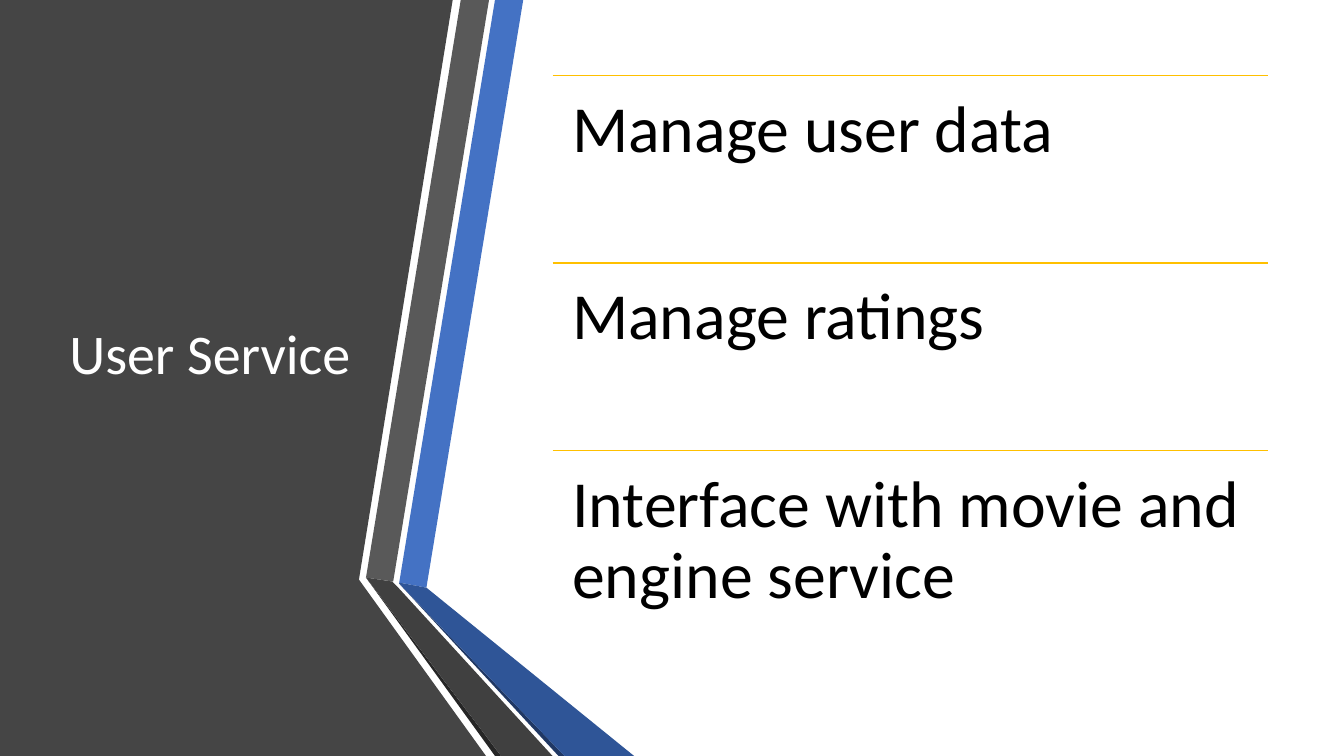
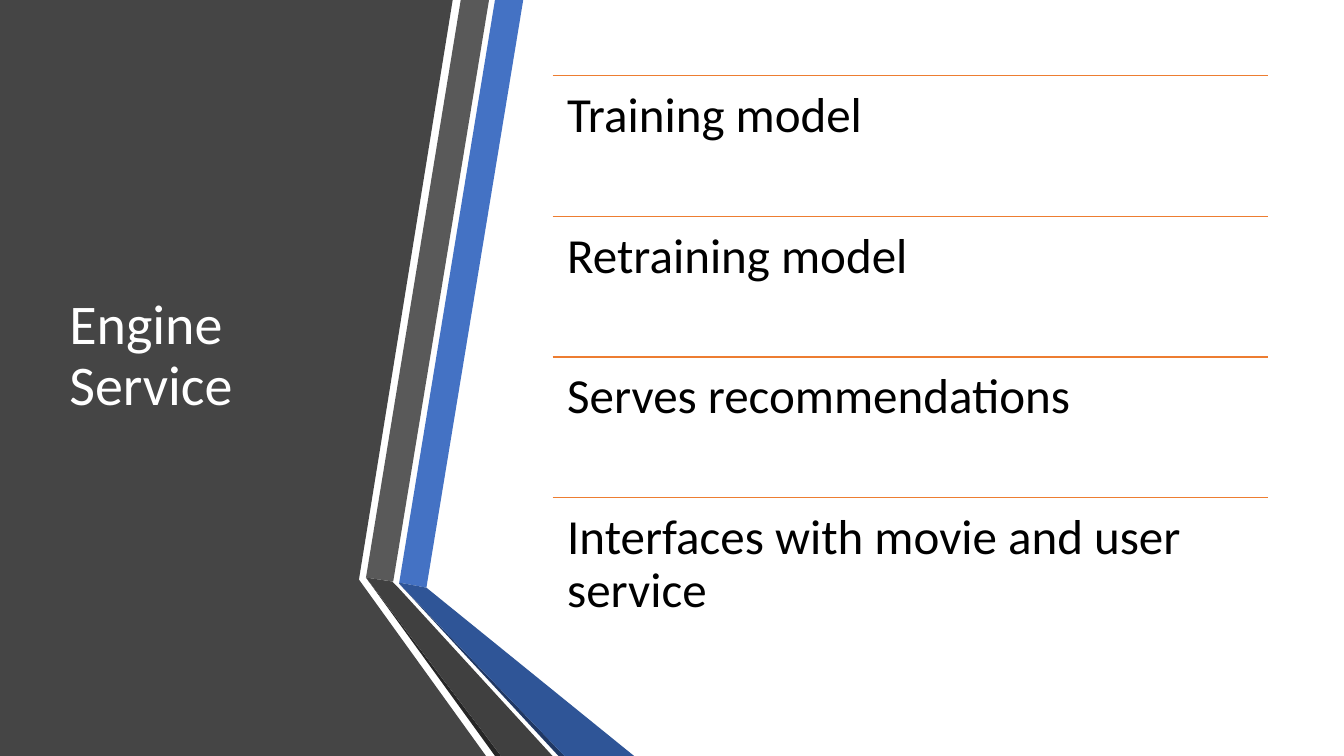
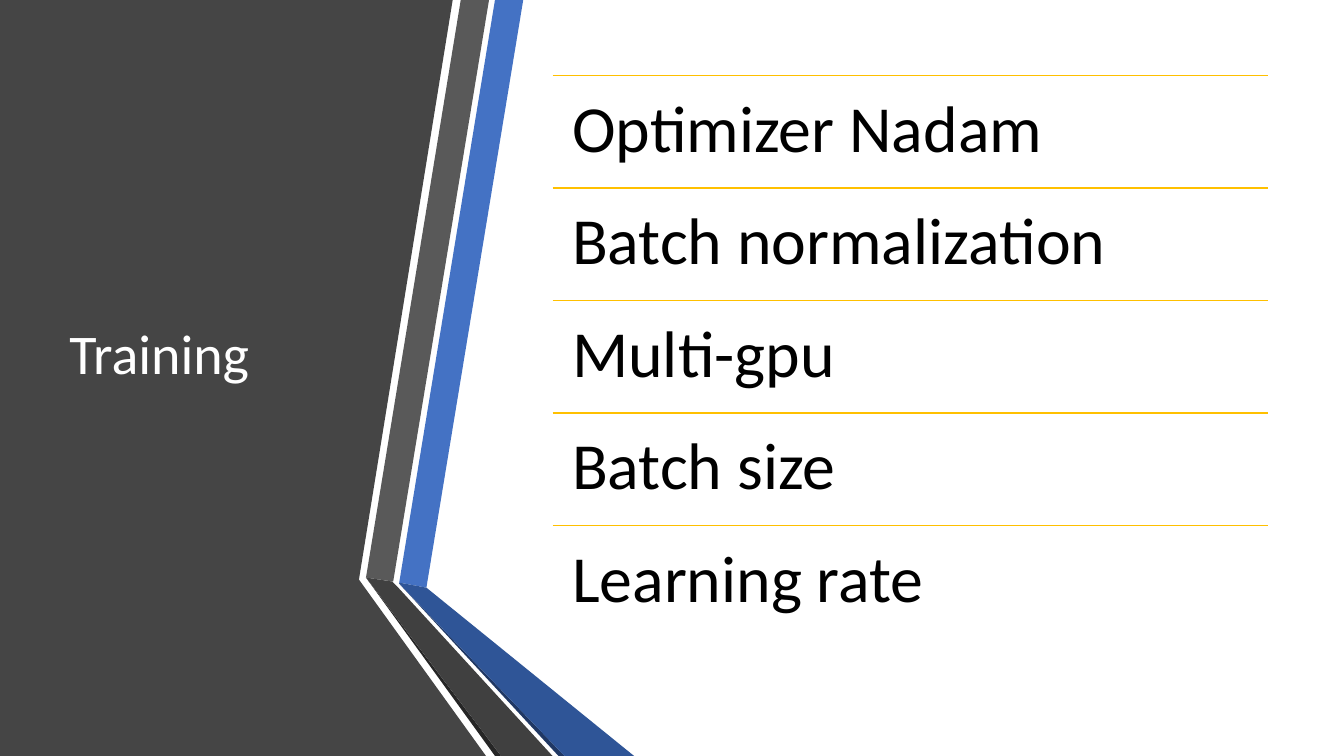
from lxml.etree import SubElement
from pptx import Presentation
from pptx.dml.color import RGBColor
from pptx.enum.shapes import MSO_CONNECTOR as Connector
from pptx.enum.text import MSO_ANCHOR as Anchor
from pptx.oxml.ns import qn
from pptx.util import Inches, Pt

SLIDE_WIDTH, SLIDE_HEIGHT = 13.33, 7.5
FONT = "Calibri"
WHITE, BLACK = "FFFFFF", "000000"
GOLD, ORANGE = "FFC000", "ED7D31"

CONTENT_TOP = SLIDE_HEIGHT / 10
CONTENT_HEIGHT = 5.58
TITLE_LEFT, TITLE_WIDTH = 0.59, 3.04
LIST_LEFT, LIST_WIDTH = 5.48, 7.1
INSET_PER_POINT = 0.3

PANEL = ("454545", [(0, 0), (4.49, 0), (3.56, 5.75), (4.82, SLIDE_HEIGHT), (0, SLIDE_HEIGHT)])
RIBBONS = [
    ("4472C4", [(3.96, 5.78), (4.23, 5.83), (5.19, 0), (4.91, 0)]),
    ("595959", [(4.85, 0), (4.57, 0), (3.63, 5.73), (3.9, 5.77)]),
    ("262626", [(3.63, 5.73), (4.91, SLIDE_HEIGHT), (4.97, SLIDE_HEIGHT)]),
    ("203864", [(3.96, 5.79), (5.54, SLIDE_HEIGHT), (5.6, SLIDE_HEIGHT)]),
    ("2F5597", [(3.96, 5.79), (5.6, SLIDE_HEIGHT), (6.29, SLIDE_HEIGHT), (4.23, 5.83),
                (3.96, 5.78)]),
    ("404040", [(5.48, SLIDE_HEIGHT), (3.95, 5.83), (3.89, 5.77), (3.63, 5.73),
                (4.97, SLIDE_HEIGHT)]),
]

# Title, rule colour, text size, items
SLIDES = [
    ("User Service", GOLD, 47,
     ["Manage user data", "Manage ratings", "Interface with movie and engine service"]),
    ("Engine Service", ORANGE, 35,
     ["Training model", "Retraining model", "Serves recommendations",
      "Interfaces with movie and user service"]),
    ("Training", GOLD, 47,
     ["Optimizer Nadam", "Batch normalization", "Multi-gpu", "Batch size", "Learning rate"]),
]


def color(hex_string):
    return RGBColor.from_string(hex_string)


def add_polygon(shapes, fill, points):
    corners = [(Inches(x), Inches(y)) for x, y in points]
    builder = shapes.build_freeform(*corners[0], scale=1.0)
    builder.add_line_segments(corners[1:], close=True)
    polygon = builder.convert_to_shape()
    polygon.shadow.inherit = False
    polygon.fill.solid()
    polygon.fill.fore_color.rgb = color(fill)
    polygon.line.fill.background()


def add_text(shapes, text, box, size, text_color, anchor=Anchor.TOP, inset=None):
    """Add one wrapped paragraph; box is left, top, width, height in inches."""
    frame = shapes.add_textbox(*map(Inches, box)).text_frame
    frame.word_wrap = True
    frame.vertical_anchor = anchor
    if inset is not None:
        frame.margin_left = frame.margin_right = inset
        frame.margin_top = frame.margin_bottom = inset
    paragraph = frame.paragraphs[0]
    paragraph.line_spacing = 0.9
    run = paragraph.add_run()
    run.text = text
    run.font.name = FONT
    run.font.size = Pt(size)
    run.font.color.rgb = color(text_color)


def add_rule(shapes, top, rule_color):
    rule = shapes.add_connector(Connector.STRAIGHT, Inches(LIST_LEFT), Inches(top),
                                Inches(LIST_LEFT + LIST_WIDTH), Inches(top))
    rule.line.color.rgb = color(rule_color)
    rule.line.width = Pt(1)
    SubElement(rule._element.spPr, qn("a:effectLst"))


def add_side_panel(slide, title):
    add_polygon(slide.shapes, *PANEL)
    ribbon_group = slide.shapes.add_group_shape()
    for fill, points in RIBBONS:
        add_polygon(ribbon_group.shapes, fill, points)
    add_text(slide.shapes, title, (TITLE_LEFT, CONTENT_TOP, TITLE_WIDTH, CONTENT_HEIGHT),
             40, WHITE, Anchor.MIDDLE)


def add_ruled_list(slide, items, rule_color, size):
    """Share the content height equally between items, each under a rule."""
    list_group = slide.shapes.add_group_shape()
    row_height = CONTENT_HEIGHT / len(items)
    for row, item in enumerate(items):
        top = CONTENT_TOP + row * row_height
        add_rule(list_group.shapes, top, rule_color)
        add_text(list_group.shapes, item, (LIST_LEFT, top, LIST_WIDTH, row_height),
                 size, BLACK, inset=Pt(INSET_PER_POINT * size))


def main():
    presentation = Presentation()
    presentation.slide_width = Inches(SLIDE_WIDTH)
    presentation.slide_height = Inches(SLIDE_HEIGHT)
    blank_layout = presentation.slide_layouts[6]
    for title, rule_color, size, items in SLIDES:
        slide = presentation.slides.add_slide(blank_layout)
        add_side_panel(slide, title)
        add_ruled_list(slide, items, rule_color, size)
    presentation.save("out.pptx")


if __name__ == "__main__":
    main()
